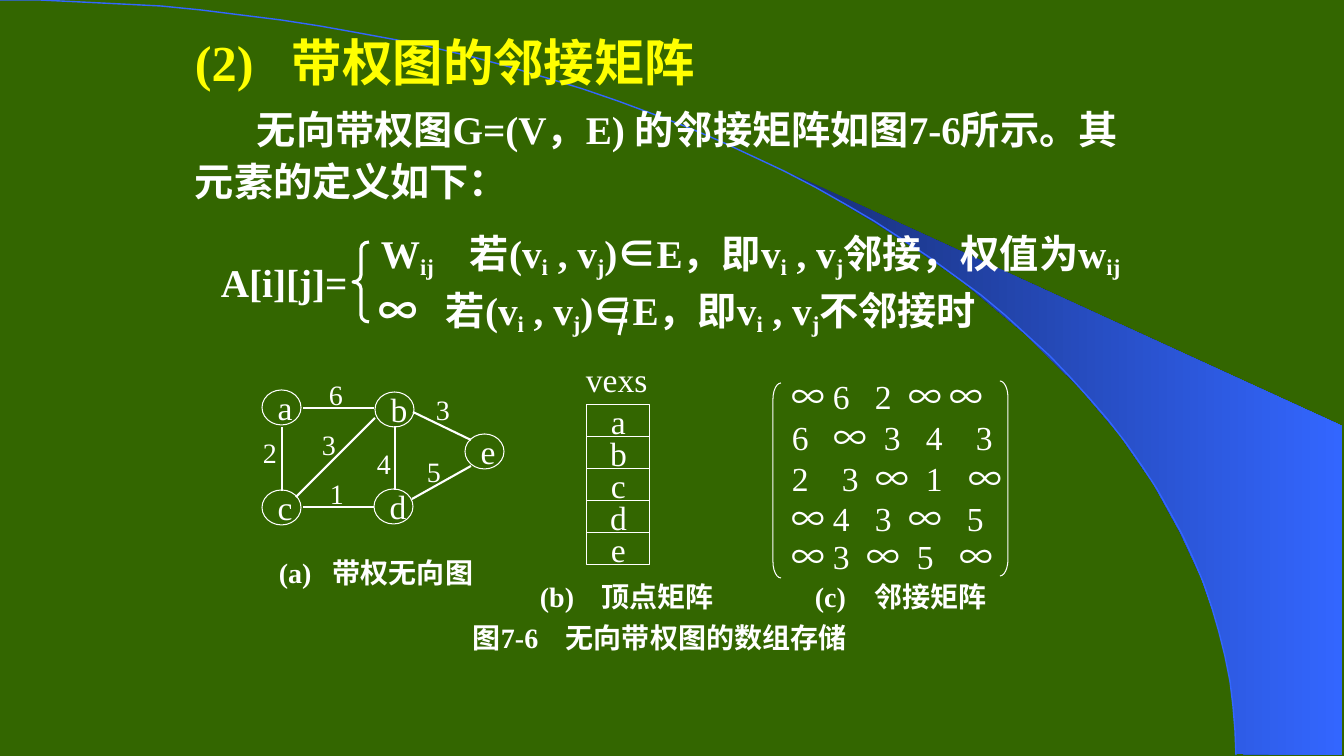
from itertools import groupby
from math import cos, pi, sin

from lxml import etree
from pptx import Presentation
from pptx.dml.color import RGBColor
from pptx.enum.shapes import MSO_CONNECTOR, MSO_SHAPE
from pptx.enum.text import MSO_ANCHOR, PP_ALIGN
from pptx.oxml.ns import qn
from pptx.util import Pt

PX = 914400 / 100.8
STRAIGHT = MSO_CONNECTOR.STRAIGHT
OVAL, RECT = MSO_SHAPE.OVAL, MSO_SHAPE.RECTANGLE
MIDDLE, LEFT, CENTER = MSO_ANCHOR.MIDDLE, PP_ALIGN.LEFT, PP_ALIGN.CENTER

THEME = {
    "bg": "336600", "title": "FFFF00", "ink": "FFFFFF",
    "dark": "182F76", "blue": "3366FF",
    "latin": "Times New Roman", "cjk": "Noto Sans CJK SC",
    "head": 36, "body": 28, "node": 24, "note": 20,
    "thin": 0.75, "arc": 1, "edge": 1.5, "thick": 2.25,
}

# Content: "_" switches subscript on and off, a tab jumps to the next stop
SYMBOLS = "∞∈"
TITLE = "(2)\t带权图的邻接矩阵"
INTRO = "无向带权图G=(V，E) 的邻接矩阵如图7-6所示。其元素的定义如下："
FORMULAS = [  # text, box, tab stops
    ("W_ij_\t若(v_i_ , v_j_)∈E，即v_i_ , v_j_邻接，权值为w_ij_", (371, 229, 815, 51), [89]),
    ("∞\t若(v_i_ , v_j_)∈E，即v_i_ , v_j_不邻接时", (369, 286, 660, 51), [67]),
    ("A[i][j]=", (211, 258, 145, 47), []),
]
CAPTIONS = [
    ("(a)\t带权无向图", (269, 555, 212, 35), [54]),
    ("(b)\t顶点矩阵", (530, 579, 195, 35), [62]),
    ("(c)\t邻接矩阵", (805, 579, 195, 35), [60]),
    ("图7-6\t无向带权图的数组存储", (463, 620, 395, 35), [93]),
]
NODES = {"a": (262, 390), "b": (375, 392), "c": (262, 490), "d": (374, 489), "e": (465, 434)}
EDGES = [  # weight, weight position, line ends
    ("6", (319, 379), (303, 408, 374, 408)),
    ("2", (253, 437), (282, 427, 282, 491)),
    ("3", (312, 429), (296, 497, 375, 418)),
    ("4", (367, 448), (395, 426, 395, 490)),
    ("1", (320, 478), (303, 507, 374, 507)),
    ("5", (417, 456), (412, 499, 471, 466)),
    ("3", (426, 394), (471, 440, 413, 412)),
]
MATRIX = [  # cells, top, tab stops
    ("∞ 6 2 ∞ ∞", 379, [41, 83, 117, 158]),
    ("6 ∞ 3 4 3", 420, [42, 92, 134, 184]),
    ("2 3 ∞ 1 ∞", 461, [50, 84, 134, 177]),
    ("∞ 4 3 ∞ 5", 501, [41, 83, 117, 175]),
    ("∞ 3 ∞ 5 ∞", 539, [41, 75, 125, 168]),
]
FRAMES = [  # outline, box, adjustments, line width
    (MSO_SHAPE.LEFT_BRACKET, (773, 383, 8, 195), [2.06], "thin"),
    (MSO_SHAPE.RIGHT_BRACKET, (1000, 381, 8, 195), [2.06], "thin"),
    (MSO_SHAPE.LEFT_BRACE, (353, 242, 16, 80), [0.42, 0.5], "thick"),
]
NOT_IN_SLASH = (627, 302, 619, 335)
WEDGE = [
    (1237, 754), (1342, 755), (1342, 426), (792, 174), (839, 201), (877, 224),
    (920, 252), (963, 282), (1024, 333), (1079, 387), (1119, 434), (1153, 483),
    (1180, 532), (1201, 577), (1214, 614), (1227, 661), (1233, 702),
]
ARC_W, ARC_H, ARC_STEPS = 1236, 755, 48


def emu(*lengths):
    return [round(v * PX) for v in lengths]


def color(name):
    return RGBColor.from_string(THEME[name])


def set_line(line, width, ink="ink"):
    line.color.rgb = color(ink)
    line.width = Pt(THEME[width])


def write(p, text, size, bold=False, ink="ink", stops=(), **fmt):
    for name, value in fmt.items():
        setattr(p, name, value)
    if stops:
        tabs = etree.SubElement(p._p.get_or_add_pPr(), qn("a:tabLst"))
        for stop in stops:
            etree.SubElement(tabs, qn("a:tab"), pos=str(emu(stop)[0]), algn="l")
    for i, piece in enumerate(text.split("_")):
        for is_symbol, chars in groupby(piece, lambda ch: ch in SYMBOLS):
            r = p.add_run()
            r.text = "".join(chars)
            font = {"size": Pt(THEME[size]), "bold": bold,
                    "name": THEME["cjk" if is_symbol else "latin"]}
            for name, value in font.items():
                setattr(r.font, name, value)
            r.font.color.rgb = color(ink)
            rPr = r._r.get_or_add_rPr()
            etree.SubElement(rPr, qn("a:ea"), typeface=THEME["cjk"])
            if i % 2:
                rPr.set("baseline", "-18000")


def label(sp, text, size, align=LEFT, **fmt):
    tf = sp.text_frame
    tf.word_wrap = False
    tf.vertical_anchor = MIDDLE
    write(tf.paragraphs[0], text, size, alignment=align, **fmt)


def add_label(box, text, size, **fmt):
    sp = s.shapes.add_textbox(*emu(*box))
    sp.text_frame.margin_right = 0
    label(sp, text, size, **fmt)


def add_outline(kind, box, width="thin"):
    sp = s.shapes.add_shape(kind, *emu(*box))
    sp.shadow.inherit = False
    sp.fill.background()
    set_line(sp.line, width)
    return sp


def add_line(ends, width):
    cx = s.shapes.add_connector(STRAIGHT, *emu(*ends))
    set_line(cx.line, width)
    etree.SubElement(cx._element.spPr, qn("a:effectLst"))


def add_freeform(points, close):
    builder = s.shapes.build_freeform(*points[0], scale=PX)
    builder.add_line_segments(points[1:], close=close)
    sp = builder.convert_to_shape()
    sp.shadow.inherit = False
    return sp


prs = Presentation()
prs.slide_width, prs.slide_height = emu(1344, 756)
s = prs.slides.add_slide(prs.slide_layouts[6])
s.background.fill.solid()
s.background.fill.fore_color.rgb = color("bg")

# Background wedge and arc
wedge = add_freeform(WEDGE, True)
wedge.line.fill.background()
wedge.fill.gradient()
wedge.fill.gradient_angle = 0
for stop, name, position in zip(wedge.fill.gradient_stops, ("dark", "blue"), (0, 1)):
    stop.color.rgb = color(name)
    stop.position = position
angles = [pi / 2 * i / ARC_STEPS for i in range(ARC_STEPS + 1)]
arc = add_freeform([(ARC_W * sin(t), ARC_H * (1 - cos(t))) for t in angles], False)
arc.fill.background()
set_line(arc.line, "arc", "blue")

# Title and introduction
tf = s.shapes.add_textbox(*emu(185, 33, 972, 177)).text_frame
tf.word_wrap = True
write(tf.paragraphs[0], TITLE, "head", True, "title", [97],
      line_spacing=0.9, space_before=Pt(7))
p = tf.add_paragraph()
write(p, INTRO, "body", True, line_spacing=1.1, space_before=Pt(6))
p._p.get_or_add_pPr().set("indent", str(emu(62)[0]))

# Formulas and captions
for size, rows in (("body", FORMULAS), ("note", CAPTIONS)):
    for text, box, stops in rows:
        add_label(box, text, size, bold=True, stops=stops)
add_line(NOT_IN_SLASH, "thick")

# Weighted graph
for name, (x, y) in NODES.items():
    label(add_outline(OVAL, (x, y, 39, 35)), name, "node")
for weight, (x, y), ends in EDGES:
    add_line(ends, "edge")
    add_label((x, y, 31, 31), weight, "note")

# Vertex list
add_label((576, 362, 84, 35), "vexs", "node")
for i, name in enumerate(NODES):
    label(add_outline(RECT, (587, 405 + 32 * i, 63, 32)), name, "node", CENTER)

# Adjacency matrix, brackets and brace
for cells, y, stops in MATRIX:
    add_label((782, y, 230, 35), cells.replace(" ", "\t"), "node", stops=stops)
for kind, box, adjustments, width in FRAMES:
    sp = add_outline(kind, box, width)
    for i, value in enumerate(adjustments):
        sp.adjustments[i] = value

prs.save("out.pptx")
